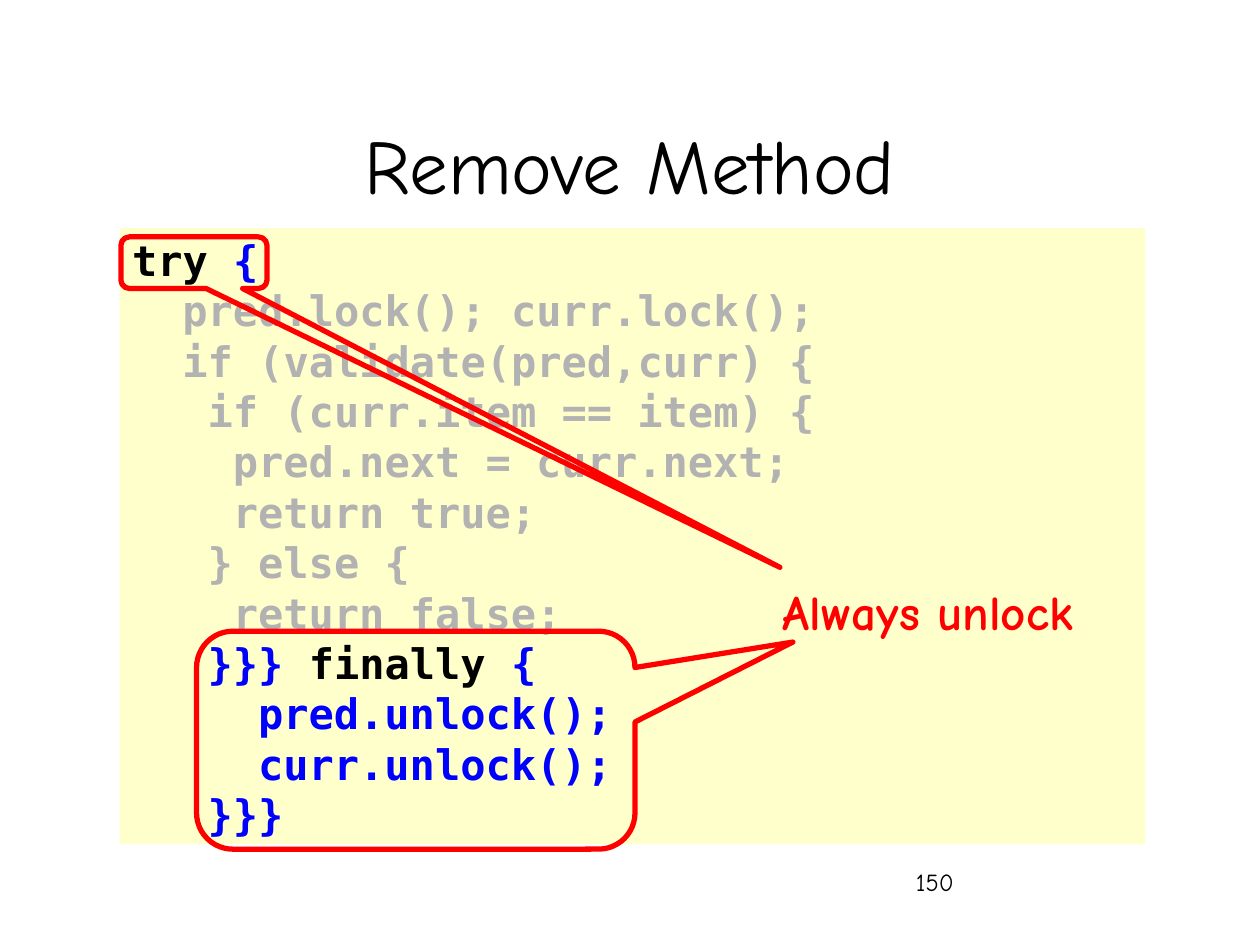
from dataclasses import dataclass

from pptx import Presentation
from pptx.dml.color import RGBColor
from pptx.enum.shapes import MSO_SHAPE
from pptx.enum.text import MSO_ANCHOR, PP_ALIGN
from pptx.slide import Slide
from pptx.util import Inches, Pt

COLORS = {
    "ink": "000000",
    "code": "0000FF",
    "faded": "B2B2B2",
    "panel": "FFFFCC",
    "alert": "FF0000",
}
COLUMN = 0.2
CODE_LINES = [
    (0, [("try", "ink"), (" {", "code")]),
    (2, [("pred.lock(); curr.lock();", "faded")]),
    (2, [("if (validate(pred,curr) {", "faded")]),
    (3, [("if (curr.item == item) {", "faded")]),
    (4, [("pred.next = curr.next;", "faded")]),
    (4, [("return true;", "faded")]),
    (3, [("} else {", "faded")]),
    (4, [("return false;", "faded")]),
    (3, [("}}} ", "code"), ("finally", "ink"), (" {", "code")]),
    (5, [("pred.unlock();", "code")]),
    (5, [("curr.unlock();", "code")]),
    (3, [("}}}", "code")]),
]


def color(name):
    """Return the named palette colour."""
    return RGBColor.from_string(COLORS[name])


def add_span(para, text, *, font, size, fill="ink", bold=False):
    """Add formatted text to a paragraph."""
    span = para.add_run()
    span.text = text
    span.font.name = font
    span.font.size = Pt(size)
    span.font.bold = bold
    span.font.color.rgb = color(fill)


@dataclass
class SlideBuilder:
    """Hold the style and the current slide."""

    page: Slide
    text_font: str = "Comic Neue"
    code_font: str = "DejaVu Sans Mono"
    code_size: int = 24
    code_pitch: float = 28.8
    outline: int = 3

    def label(self, text, place, size, *, fill="ink", bold=False,
              align=PP_ALIGN.LEFT, anchor=MSO_ANCHOR.TOP):
        """Add a one-line text box."""
        box = self.page.shapes.add_textbox(*map(Inches, place))
        frame = box.text_frame
        frame.word_wrap = True
        frame.vertical_anchor = anchor
        para = frame.paragraphs[0]
        para.alignment = align
        add_span(para, text, font=self.text_font, size=size, fill=fill, bold=bold)

    def code_panel(self, lines, place):
        """Add a filled panel of code indented by character columns."""
        box = self.page.shapes.add_shape(MSO_SHAPE.RECTANGLE, *map(Inches, place))
        box.shadow.inherit = False
        box.fill.solid()
        box.fill.fore_color.rgb = color("panel")
        box.line.fill.background()
        frame = box.text_frame
        frame.word_wrap = True
        frame.vertical_anchor = MSO_ANCHOR.TOP
        for number, (columns, spans) in enumerate(lines):
            para = frame.add_paragraph() if number else frame.paragraphs[0]
            para.alignment = PP_ALIGN.LEFT
            para.line_spacing = Pt(self.code_pitch)
            para._p.get_or_add_pPr().set("marL", str(Inches(columns * COLUMN)))
            for text, fill in spans:
                add_span(para, text, font=self.code_font, size=self.code_size,
                         fill=fill, bold=True)

    def callout(self, place, tip):
        """Add an outlined callout whose tip is a share of its size from its centre."""
        box = self.page.shapes.add_shape(
            MSO_SHAPE.ROUNDED_RECTANGULAR_CALLOUT, *map(Inches, place))
        box.shadow.inherit = False
        box.fill.background()
        box.line.color.rgb = color("alert")
        box.line.width = Pt(self.outline)
        box.adjustments[0], box.adjustments[1] = tip


def main():
    """Build and save the slide."""
    deck = Presentation()
    deck.slide_width, deck.slide_height = Inches(10), Inches(7.5)
    builder = SlideBuilder(deck.slides.add_slide(deck.slide_layouts[6]))
    builder.label("150", (7.17, 6.83, 2.08, 0.5), 14)
    builder.code_panel(CODE_LINES, (0.95, 1.81, 8.14, 4.89))
    builder.label("Remove Method", (0.75, 0.67, 8.5, 1.25), 44,
                  align=PP_ALIGN.CENTER, anchor=MSO_ANCHOR.MIDDLE)
    builder.callout((0.96, 1.88, 1.16, 0.41), (4.01, 5.9))
    builder.label("Always unlock", (5.71, 4.57, 3.31, 0.57), 28,
                  fill="alert", bold=True, align=PP_ALIGN.CENTER)
    builder.callout((1.56, 5.01, 3.48, 1.73), (0.86, -0.45))
    deck.save("out.pptx")


if __name__ == "__main__":
    main()
